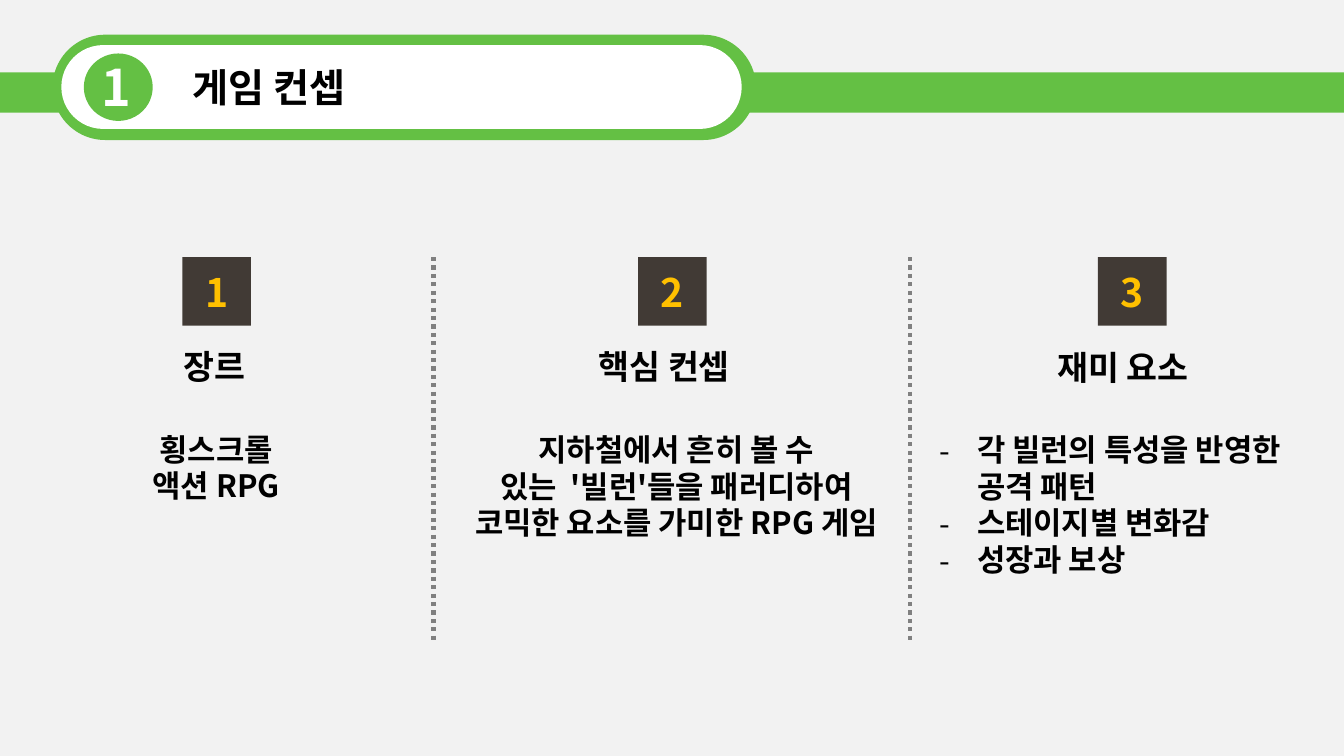
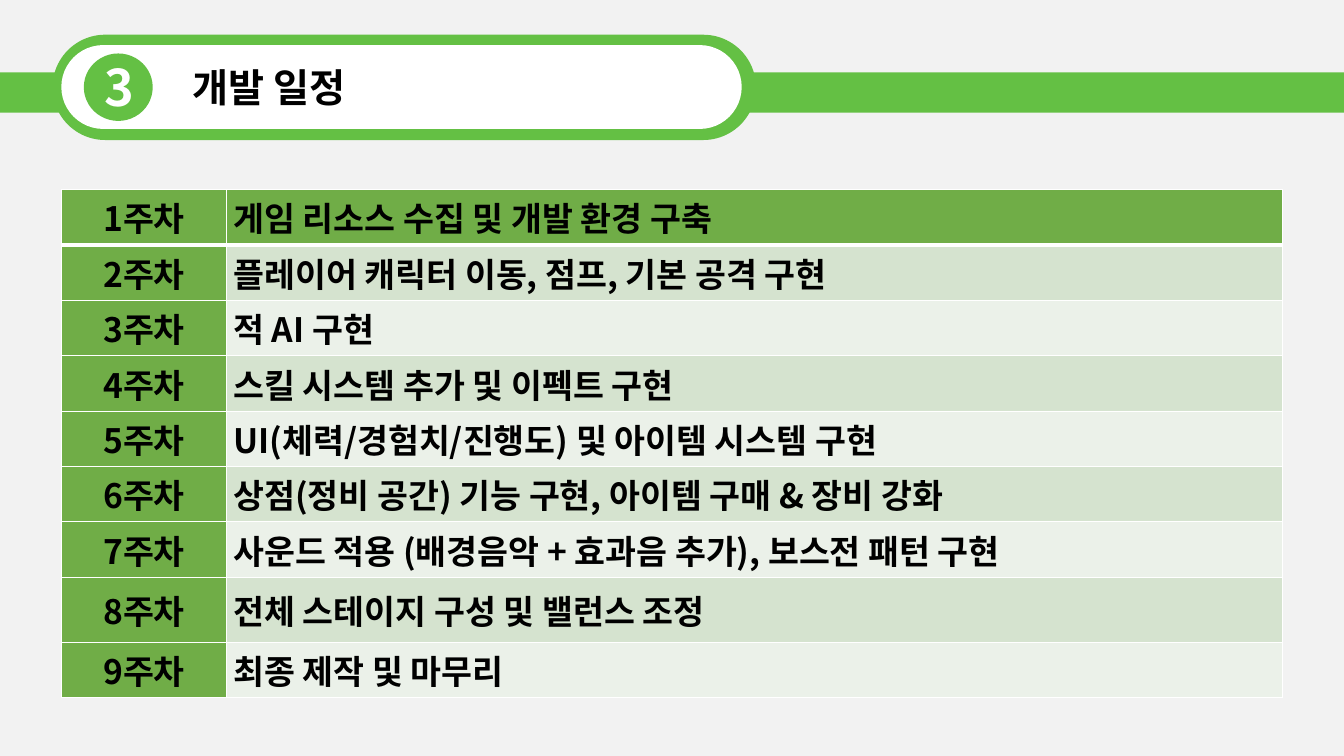
from lxml import etree
from pptx import Presentation
from pptx.dml.color import RGBColor
from pptx.enum import dml, shapes, text
from pptx.oxml.ns import qn
from pptx.util import Pt

FONT = "Noto Sans CJK KR"
GREEN, WHITE, BLACK = "64C044", "FFFFFF", "000000"
BACKGROUND, BADGE, GOLD, DIVIDER = "F2F2F2", "413A35", "FFC000", "808080"
TABLE_GREEN, ROW_DARK, ROW_LIGHT = "70AD47", "D5E3CF", "EBF1E9"
WIDTH, HEIGHT = 960, 540
LEFT, CENTER = text.PP_ALIGN.LEFT, text.PP_ALIGN.CENTER

# Boxes are (left, top, width, height)
BANDS = [
    ("RECTANGLE", (-3, 51.7, 963, 28.8), GREEN),
    ("ROUNDED_RECTANGLE", (37.5, 24.8, 502.5, 75.2), GREEN),
    ("ROUNDED_RECTANGLE", (43.8, 32.2, 486, 59.9), WHITE),
    ("OVAL", (59.9, 38.2, 49.2, 48.2), GREEN),
]
TITLE_BOX = (130.3, 41.8, 327.6, 41)

CONCEPT = {"number": "1", "number_left": 65.5, "title": "게임 컨셉"}
COLUMNS = [
    {"badge_left": 130.2, "heading": "장르", "heading_box": (123.8, 243.4, 68.4, 36),
     "body": ["횡스크롤", "액션 RPG"], "body_box": (77, 303.8, 154.8, 60.5)},
    {"badge_left": 455.8, "heading": "핵심 컨셉", "heading_box": (420.5, 243.4, 118.8, 36),
     "body": ["지하철에서 흔히 볼 수 있는  '빌런'들을 패러디하여 코믹한 요소를 가미한 RPG 게임"],
     "body_box": (329, 303.8, 308.2, 113.8)},
    {"badge_left": 784.3, "heading": "재미 요소", "heading_box": (748, 244, 118.8, 36),
     "body": ["각 빌런의 특성을 반영한 공격 패턴", "스테이지별 변화감", "성장과 보상"],
     "body_box": (663.8, 303.8, 279.4, 113.8), "bullets": True},
]
BADGE_TOP, BADGE_SIZE = 183.6, 49
DIVIDERS, DIVIDER_BOTTOM = (309.6, 650.2), 459.4

SCHEDULE = {"number": "3", "number_left": 67.7, "title": "개발 일정"}
WEEKS = [
    "게임 리소스 수집 및 개발 환경 구축",
    "플레이어 캐릭터 이동, 점프, 기본 공격 구현",
    "적 AI 구현",
    "스킬 시스템 추가 및 이펙트 구현",
    "UI(체력/경험치/진행도) 및 아이템 시스템 구현",
    "상점(정비 공간) 기능 구현, 아이템 구매 & 장비 강화",
    "사운드 적용 (배경음악 + 효과음 추가), 보스전 패턴 구현",
    "전체 스테이지 구성 및 밸런스 조정",
    "최종 제작 및 마무리",
]
TABLE_LEFT, TABLE_TOP = 44, 135.5
COLUMN_WIDTHS = (117.8, 754.4)
ROW_HEIGHT, TALL_ROW, TALL_HEIGHT = 39.55, 7, 46.4


def color(value):
    return RGBColor.from_string(value)


def points(values):
    return [Pt(value) for value in values]


def write(frame, lines, size, font_color, align=LEFT):
    frame.text = "\n".join(lines)
    frame.word_wrap = True
    for paragraph in frame.paragraphs:
        paragraph.alignment = align
        font = paragraph.font
        font.name, font.size, font.bold = FONT, Pt(size), True
        font.color.rgb = color(font_color)
        latin = font._element.find(qn("a:latin"))
        east_asian = etree.Element(qn("a:ea"), typeface=FONT)
        latin.addnext(east_asian)


def add_text(slide, box, *style):
    shape = slide.shapes.add_textbox(*points(box))
    write(shape.text_frame, *style)
    return shape


def add_shape(slide, kind, box, fill):
    shape = slide.shapes.add_shape(getattr(shapes.MSO_SHAPE, kind), *points(box))
    shape.shadow.inherit = False
    shape.fill.solid()
    shape.fill.fore_color.rgb = color(fill)
    shape.line.fill.background()
    if kind == "ROUNDED_RECTANGLE":
        shape.adjustments[0] = 0.5
    return shape


def add_dash_bullets(frame):
    for paragraph in frame.paragraphs:
        properties = paragraph._p.get_or_add_pPr()
        properties.set("marL", str(Pt(27)))
        properties.set("indent", str(Pt(-27)))
        properties.insert(0, etree.Element(qn("a:buFont"), typeface=FONT))
        properties.insert(1, etree.Element(qn("a:buChar"), char="-"))


def add_divider(slide, x):
    line = slide.shapes.add_connector(
        shapes.MSO_CONNECTOR.STRAIGHT, *points((x, BADGE_TOP, x, DIVIDER_BOTTOM)))
    line.line.color.rgb = color(DIVIDER)
    line.line.width = Pt(3)
    line.line.dash_style = dml.MSO_LINE.ROUND_DOT
    etree.SubElement(line._element.spPr, qn("a:effectLst"))


def set_borders(cell, widths):
    """Draw white borders; widths go by side: L, R, T, B."""
    properties = cell._tc.get_or_add_tcPr()
    for index, (side, width) in enumerate(widths.items()):
        line = etree.Element(qn(f"a:ln{side}"), w=str(Pt(width)))
        fill = etree.SubElement(line, qn("a:solidFill"))
        etree.SubElement(fill, qn("a:srgbClr"), val=WHITE)
        properties.insert(index, line)


def add_section_slide(presentation, section):
    """Add a slide with the green band, section number and title."""
    slide = presentation.slides.add_slide(presentation.slide_layouts[5])
    for band in BANDS:
        add_shape(slide, *band)
    add_text(slide, (section["number_left"], 36.7, 38.9, 51), [section["number"]], 36, WHITE)
    title = slide.shapes.title
    title.left, title.top, title.width, title.height = points(TITLE_BOX)
    write(title.text_frame, [section["title"]], 28, BLACK)
    title.text_frame.auto_size = text.MSO_AUTO_SIZE.NONE
    title.text_frame.vertical_anchor = text.MSO_ANCHOR.TOP
    slide.shapes._spTree.append(title._element)  # in front of the bands
    return slide


def build_concept(presentation):
    slide = add_section_slide(presentation, CONCEPT)
    for number, column in enumerate(COLUMNS, 1):
        box = (column["badge_left"], BADGE_TOP, BADGE_SIZE, BADGE_SIZE)
        badge = add_shape(slide, "RECTANGLE", box, BADGE)
        write(badge.text_frame, [str(number)], 28, GOLD, CENTER)
        add_text(slide, column["heading_box"], [column["heading"]], 24, BLACK)
        bullets = column.get("bullets")
        body = add_text(slide, column["body_box"], column["body"], 22, BLACK,
                        LEFT if bullets else CENTER)
        if bullets:
            add_dash_bullets(body.text_frame)
    for x in DIVIDERS:
        add_divider(slide, x)


def build_schedule(presentation):
    slide = add_section_slide(presentation, SCHEDULE)
    heights = [TALL_HEIGHT if row == TALL_ROW else ROW_HEIGHT for row in range(len(WEEKS))]
    box = (TABLE_LEFT, TABLE_TOP, sum(COLUMN_WIDTHS), sum(heights))
    table = slide.shapes.add_table(len(WEEKS), 2, *points(box)).table
    for column, width in zip(table.columns, COLUMN_WIDTHS):
        column.width = Pt(width)
    for row, task in enumerate(WEEKS):
        table.rows[row].height = Pt(heights[row])
        task_fill = TABLE_GREEN if row == 0 else (ROW_LIGHT, ROW_DARK)[row % 2]
        contents = [(f"{row + 1}주차", TABLE_GREEN, CENTER), (task, task_fill, LEFT)]
        for cell, (words, fill, align) in zip(table.rows[row].cells, contents):
            write(cell.text_frame, [words], 24, BLACK, align)
            cell.text_frame.paragraphs[0].space_after = Pt(8)
            cell.vertical_anchor = text.MSO_ANCHOR.MIDDLE
            cell.margin_left = cell.margin_right = Pt(5)
            cell.margin_top = cell.margin_bottom = 0
            cell.fill.solid()
            cell.fill.fore_color.rgb = color(fill)
            set_borders(cell, {"L": 1, "R": 1, "T": 3 if row == 1 else 1,
                               "B": 3 if row == 0 else 1})


def main():
    presentation = Presentation()
    presentation.slide_width, presentation.slide_height = points((WIDTH, HEIGHT))
    background = presentation.slide_master.background.fill
    background.solid()
    background.fore_color.rgb = color(BACKGROUND)
    build_concept(presentation)
    build_schedule(presentation)
    presentation.save("out.pptx")


if __name__ == "__main__":
    main()
